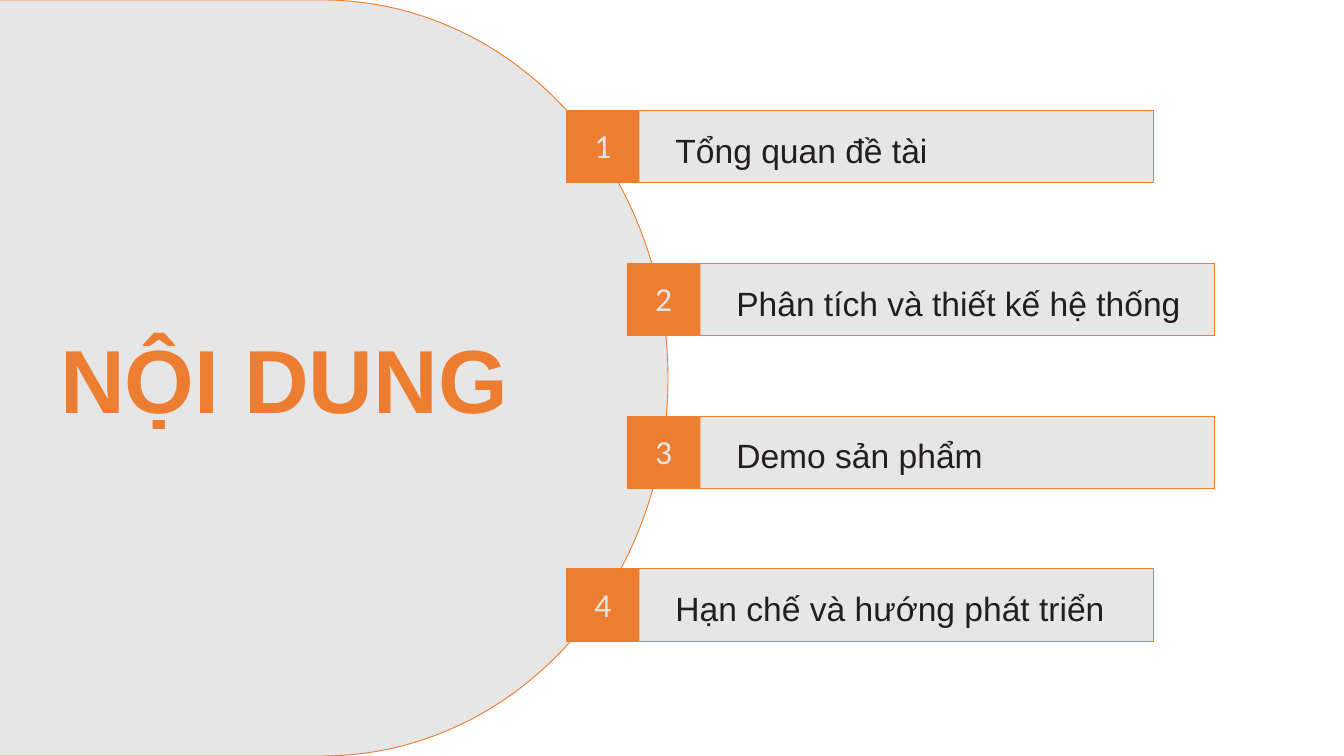
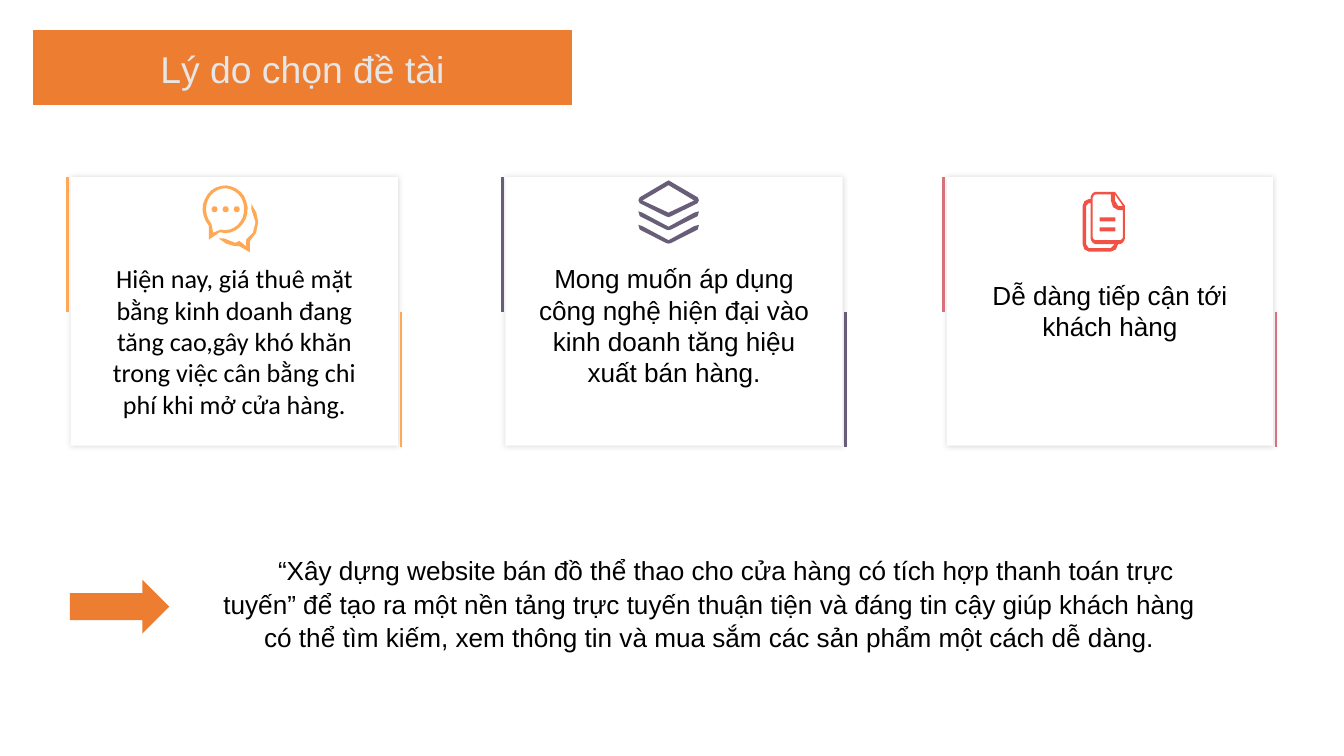
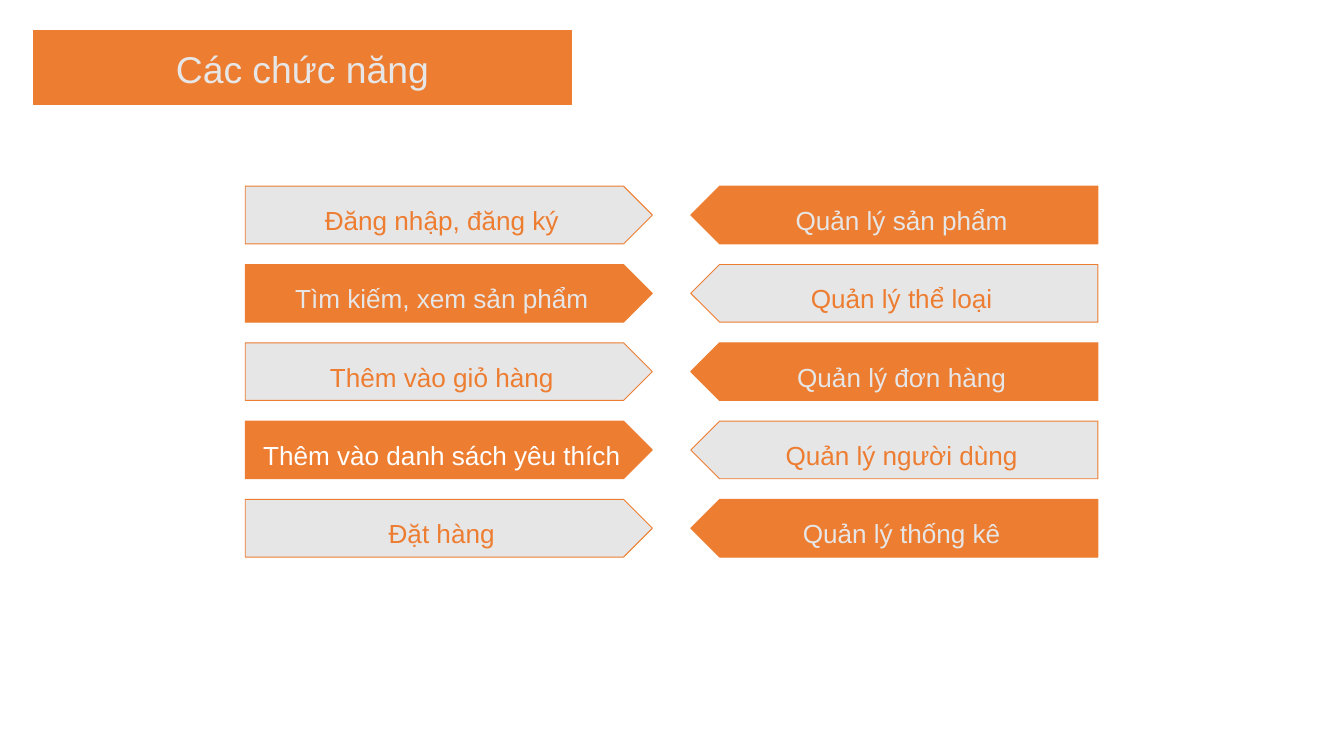
from math import cos, radians, sin

from lxml.etree import SubElement
from pptx import Presentation
from pptx.dml.color import RGBColor
from pptx.enum.shapes import MSO_CONNECTOR as Link, MSO_SHAPE as Kind
from pptx.enum.text import MSO_ANCHOR as Anchor, MSO_AUTO_SIZE as Fit, PP_ALIGN as Align
from pptx.oxml.ns import qn
from pptx.util import Cm, Pt

ORANGE, GREY, WHITE, BLACK = "ED7D31", "E7E6E6", "FFFFFF", "000000"
DARK, AMBER, PLUM, ROSE, RED = "231F20", "FFA956", "695E78", "D8717B", "F25245"
LEAD = Pt(49.7)


def rgb(code):
    return RGBColor.from_string(code)


def write(frame, words, size=28, font="Arial", ink=BLACK, bold=False, align=Align.CENTER,
          lead=None, after=None, indent=0, pads=(0, 0, 0, 0), anchor=Anchor.MIDDLE):
    """Fill a text frame; pads are left, top, right and bottom in cm."""
    frame.word_wrap = True
    frame.vertical_anchor = anchor
    frame.margin_left, frame.margin_top, frame.margin_right, frame.margin_bottom = map(Cm, pads)
    para = frame.paragraphs[0]
    para.alignment = align
    if lead:
        para.line_spacing = lead
    if after:
        para.space_after = Pt(after)
    if indent:
        para._p.get_or_add_pPr().set("indent", str(Cm(indent)))
    run = para.add_run()
    run.text = words
    run.font.name, run.font.size, run.font.bold = font, Pt(size), bold
    run.font.color.rgb = rgb(ink)


def label(slide, x, y, w, h, words, **form):
    """Add a text box that grows with its text."""
    frame = slide.shapes.add_textbox(Cm(x), Cm(y), Cm(w), Cm(h)).text_frame
    write(frame, words, anchor=Anchor.TOP, **form)
    frame.auto_size = Fit.SHAPE_TO_FIT_TEXT


def paint(shape, fill, edge=None):
    shape.shadow.inherit = False
    shape.fill.solid()
    shape.fill.fore_color.rgb = rgb(fill)
    if edge:
        shape.line.color.rgb = rgb(edge)
        shape.line.width = Pt(1)
    else:
        shape.line.fill.background()


def block(slide, kind, x, y, w, h, fill, edge=None):
    shape = slide.shapes.add_shape(kind, Cm(x), Cm(y), Cm(w), Cm(h))
    paint(shape, fill, edge)
    return shape


def glow(shape):
    """Give a shape a soft shadow on all sides."""
    effects = shape._element.spPr.find(qn("a:effectLst"))
    outer = SubElement(effects, qn("a:outerShdw"), blurRad=str(Pt(6)), dist="0", dir="0",
                       algn="ctr", rotWithShape="0")
    tint = SubElement(outer, qn("a:srgbClr"), val="3F3F3F")
    SubElement(tint, qn("a:alpha"), val="20000")


def rule(slide, x, top, end, ink):
    line = slide.shapes.add_connector(Link.STRAIGHT, Cm(x), Cm(top), Cm(x), Cm(end))
    line.line.color.rgb = rgb(ink)
    line.line.width = Pt(3)
    SubElement(line._element.spPr, qn("a:effectLst"))


# Icons: lists of contours, in hundredths of a cm
def arc(x, y, w, h, start, end, steps=24):
    """Points on an ellipse with centre x, y and radii w, h."""
    turns = [radians(start + (end - start) * i / steps) for i in range(steps + 1)]
    return [(x + w * cos(t), y + h * sin(t)) for t in turns]


def chat():
    front = [arc(86, 91, 85, 90, 136, 464) + [(25, 206)],
             arc(86, 91, 72, 79, 136, 464) + [(41, 180)]]
    dots = [arc(x, 91, 11, 11, 0, 360) for x in (46, 88, 130)]
    back = [(185, 71), (204, 104), (211, 140), (203, 180), (180, 211), (180, 254), (140, 231),
            (124, 231), (90, 221), (61, 201), (81, 201), (124, 218), (140, 211), (165, 231),
            (165, 206), (191, 180), (201, 140), (185, 91)]
    return front + dots + [back]


def layers():
    top = [[(105, 5), (114, 0), (123, 5), (224, 64), (229, 75), (224, 86), (123, 136),
            (114, 139), (105, 136), (5, 86), (0, 75), (5, 64)],
           [(114, 18), (211, 76), (114, 122), (15, 76)]]
    fold = [(0, 117), (15, 122), (114, 175), (211, 122), (229, 117), (224, 135), (123, 186),
            (114, 188), (105, 186), (5, 135)]
    return top + [[(x, y + drop) for x, y in fold] for drop in (0, 51)]


def pages():
    outer = (arc(53, 26, 23, 26, 180, 270) + [(122, 0), (160, 53)]
             + arc(137, 172, 23, 26, 0, 90) + arc(53, 172, 23, 26, 90, 180))
    inner = (arc(51, 28, 13, 18, 180, 270) + [(107, 10), (107, 33), (115, 58), (134, 69), (152, 69)]
             + arc(139, 170, 13, 13, 0, 90) + arc(51, 170, 13, 13, 90, 180))
    corner = [(122, 10), (152, 53), (134, 53), (122, 33)]
    bars = [[(64, y), (124, y), (124, y + 15), (64, y + 15)] for y in (97, 135)]
    back = [(30, 28), (23, 28), (7, 36), (0, 53), (0, 198), (7, 218), (23, 226), (107, 226),
            (126, 218), (134, 198), (122, 198), (107, 213), (23, 213), (13, 198), (13, 53),
            (23, 43), (30, 43)]
    return [outer, inner, corner, back] + bars


def icon(slide, x, y, forms, ink):
    pen = slide.shapes.build_freeform(*forms[0][0], scale=Cm(0.01))
    for form in forms:
        if form is not forms[0]:
            pen.move_to(*form[0])
        pen.add_line_segments(form[1:], close=True)
    paint(pen.convert_to_shape(Cm(x), Cm(y)), ink)


# Shared title band
def band(slide, words):
    shape = block(slide, Kind.RECTANGLE, 1.27, 1.17, 20.32, 2.79, ORANGE, ORANGE)
    write(shape.text_frame, words, size=40, ink=GREY, lead=LEAD)


# Slide 1: agenda
def entry(slide, x, y, num, words):
    block(slide, Kind.RECTANGLE, x, y, 22.2, 2.74, GREY, ORANGE)
    box = block(slide, Kind.RECTANGLE, x, y, 2.77, 2.74, ORANGE)
    write(box.text_frame, str(num), size=36, font="Calibri", ink=GREY, pads=(0.15, 0.1, 0.15, 0.2))
    label(slide, x + 4.13, y + 0.5, 18, 1.65, words, size=36, ink=DARK, align=Align.LEFT, lead=LEAD)


def agenda(slide):
    block(slide, Kind.FLOWCHART_DELAY, -0.84, 0, 26.09, 28.58, GREY, ORANGE)
    label(slide, 1.9, 12.24, 17.68, 4.11, "NỘI DUNG", size=96, ink=ORANGE, bold=True)
    items = [(21.4, "Tổng quan đề tài"), (23.7, "Phân tích và thiết kế hệ thống"),
             (23.7, "Demo sản phẩm"), (21.4, "Hạn chế và hướng phát triển")]
    for i, (x, words) in enumerate(items):
        entry(slide, x, 4.17 + 5.78 * i, i + 1, words)


# Slide 2: reasons
def card(slide, x, y, w, h, words, drop, ink, font="Arial"):
    glow(block(slide, Kind.RECTANGLE, x, y, w, h, WHITE))
    label(slide, x + 0.65, y + drop, w - 1.3, 5, words, font=font, pads=(0.25, 0.13, 0.25, 0.13))
    rule(slide, x - 0.12, y, y + 5.1, ink)
    rule(slide, x + w + 0.12, y + 5.1, y + h + 0.05, ink)


def reasons(slide):
    band(slide, "Lý do chọn đề tài")
    y, h = 6.7, 10.15
    card(slide, 2.67, y, 12.37, h, "Hiện nay, giá thuê mặt bằng kinh doanh đang tăng cao,gây khó khăn "
         "trong việc cân bằng chi phí khi mở cửa hàng.", 3.1, AMBER, font="Calibri")
    icon(slide, 7.65, y + 0.3, chat(), AMBER)
    card(slide, 19.1, y, 12.75, h, "Mong muốn áp dụng công nghệ hiện đại vào kinh doanh tăng hiệu "
         "xuất bán hàng.", 3.1, PLUM)
    icon(slide, 24.13, y + 0.12, layers(), PLUM)
    card(slide, 35.79, y, 12.32, h, "Dễ dàng tiếp cận tới khách hàng", 3.72, ROSE)
    icon(slide, 40.92, y + 0.55, pages(), RED)

    # Conclusion
    block(slide, Kind.RIGHT_ARROW, 2.64, 21.92, 3.76, 2.03, ORANGE)
    label(slide, 7.65, 20.75, 38.28, 4.39, "“Xây dựng website bán đồ thể thao cho cửa hàng có tích hợp "
          "thanh toán trực tuyến” để tạo ra một nền tảng trực tuyến thuận tiện và đáng tin cậy giúp "
          "khách hàng có thể tìm kiếm, xem thông tin và mua sắm các sản phẩm một cách dễ dàng.",
          lead=1.07, after=8, indent=1.27, pads=(0.25, 0.13, 0.25, 0.13))


# Slide 3: functions
def column(slide, x, y, rows, flip=False):
    for i, (words, fill, ink) in enumerate(rows):
        plate = block(slide, Kind.PENTAGON, x, y + 2.96 * i, 15.39, 2.18, fill, ORANGE)
        if flip:
            plate._element.spPr.xfrm.set("flipH", "1")
        write(plate.text_frame, words, ink=ink, lead=LEAD, pads=(0, 0, 0, 0.18))


def tasks(slide):
    band(slide, "Các chức năng")
    column(slide, 9.27, 7.04, [
        ("Đăng nhập, đăng ký", GREY, ORANGE),
        ("Tìm kiếm, xem sản phẩm", ORANGE, GREY),
        ("Thêm vào giỏ hàng", GREY, ORANGE),
        ("Thêm vào danh sách yêu thích", ORANGE, WHITE),
        ("Đặt hàng", GREY, ORANGE)])
    column(slide, 26.11, 7.04, [
        ("Quản lý sản phẩm", ORANGE, GREY),
        ("Quản lý thể loại", GREY, ORANGE),
        ("Quản lý đơn hàng", ORANGE, GREY),
        ("Quản lý người dùng", GREY, ORANGE),
        ("Quản lý thống kê", ORANGE, GREY)], flip=True)


def main():
    deck = Presentation()
    deck.slide_width, deck.slide_height = Cm(50.8), Cm(28.58)
    for build in (agenda, reasons, tasks):
        build(deck.slides.add_slide(deck.slide_layouts[6]))
    deck.save("out.pptx")


if __name__ == "__main__":
    main()
